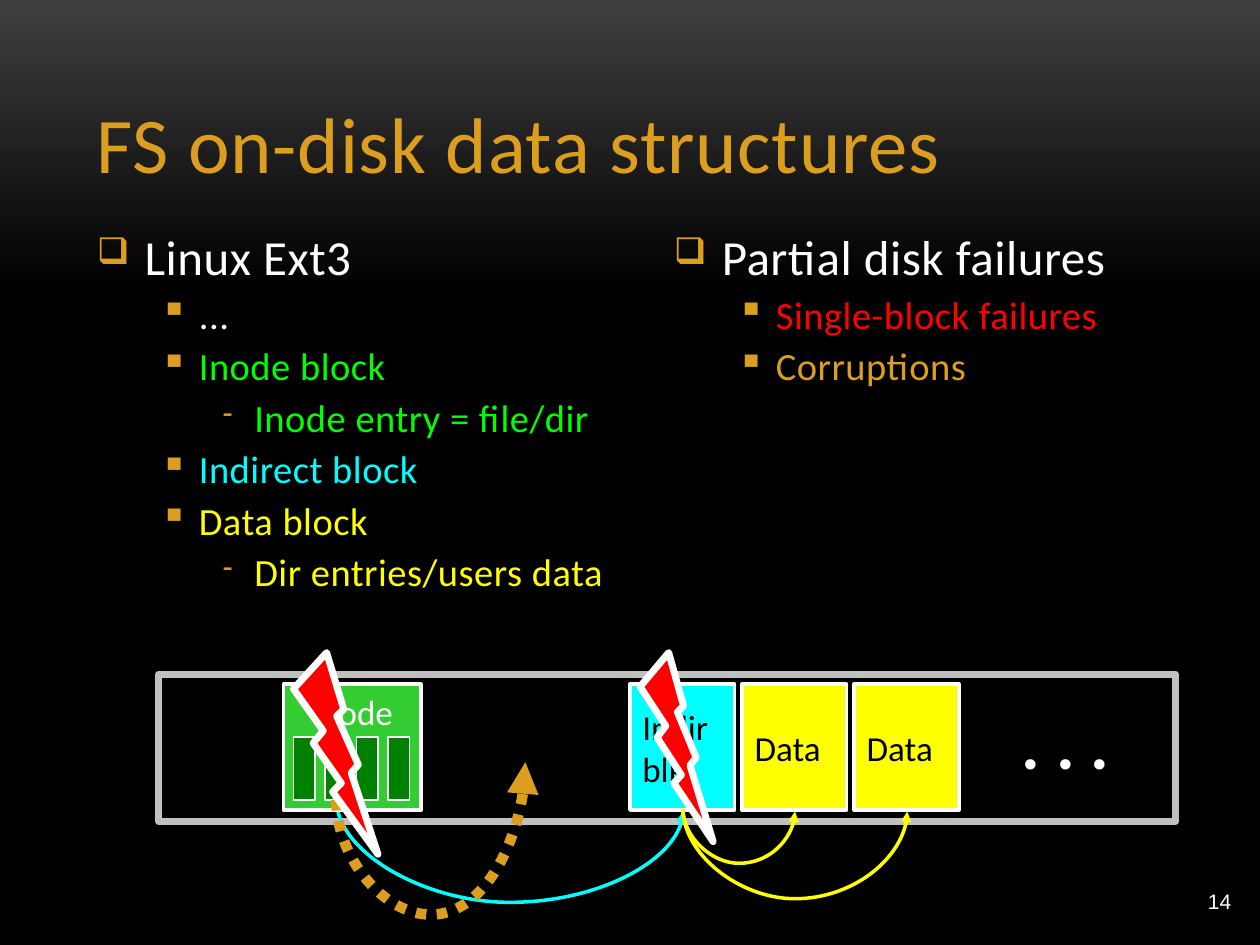
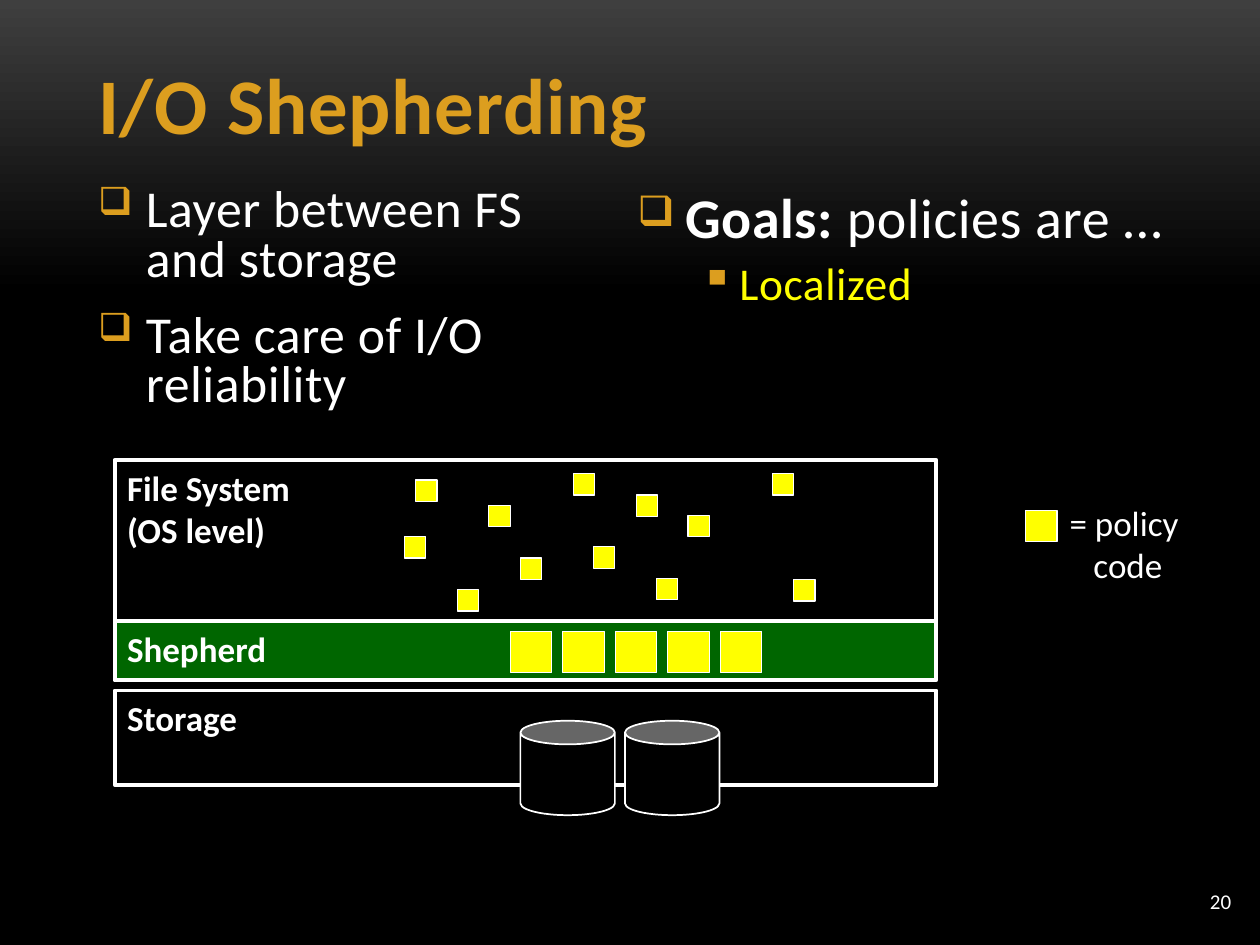
"""Builds two slides on file system structures and I/O shepherding."""
from typing import NamedTuple

from pptx import Presentation
from pptx import util as u
from pptx.dml.color import RGBColor
from pptx.enum import dml, shapes, text
from pptx.oxml import ns, xmlchemy

COLORS = {
    "white": "FFFFFF", "black": "000000", "top": "3F3F3F", "gold": "DC9E1F",
    "lime": "00FF00", "cyan": "00FFFF", "yellow": "FFFF00", "red": "FF0000",
    "silver": "C0C0C0", "inode": "33CC33", "entry": "008000", "shepherd": "006600",
}
FACE = "Calibri"
RECT = shapes.MSO_SHAPE.RECTANGLE
BOLT = shapes.MSO_SHAPE.LIGHTNING_BOLT
CAN = shapes.MSO_SHAPE.CAN
TOP, MIDDLE, BOTTOM = (text.MSO_ANCHOR.TOP, text.MSO_ANCHOR.MIDDLE,
                       text.MSO_ANCHOR.BOTTOM)


class Level(NamedTuple):
    """Bullet style of one outline level."""
    sign: str
    margin: float
    hang: float
    percent: int
    before: float


class Line(NamedTuple):
    """One bulleted line, with an optional bold lead."""
    level: int
    words: str
    color: str = "white"
    lead: str = ""


LEVELS = [Level("❑", 0.38, 0.38, 75, 15), Level("▪", 0.81, 0.31, 100, 3),
          Level("-", 1.25, 0.25, 75, 3)]


def rgb(name):
    """Return the named colour."""
    return RGBColor.from_string(COLORS[name])


def inches(area):
    """Turn numbers into lengths."""
    return [u.Inches(value) for value in area]


def add_child(parent, tag, **attributes):
    """Append a drawing element and return it."""
    child = xmlchemy.OxmlElement(tag)
    for name, value in attributes.items():
        child.set(name, str(value))
    parent.append(child)
    return child


def add_span(para, words, size, color="white", bold=False, face=FACE, spacing=0):
    """Add a formatted run to a paragraph."""
    span = para.add_run()
    span.text = words
    span.font.name = face
    span.font.size = u.Pt(size)
    span.font.bold = bold
    span.font.color.rgb = rgb(color)
    if spacing:
        span.font._element.set("spc", str(round(spacing * 100)))


def write_lines(frame, lines, size, anchor=TOP, align=text.PP_ALIGN.LEFT, **style):
    """Fill a text frame with plain paragraphs."""
    frame.word_wrap = True
    frame.vertical_anchor = anchor
    for index, words in enumerate(lines):
        para = frame.add_paragraph() if index else frame.paragraphs[0]
        para.alignment = align
        add_span(para, words, size, **style)


def add_label(page, area, lines, size, **style):
    """Add a text box and return it."""
    box = page.shapes.add_textbox(*inches(area))
    write_lines(box.text_frame, lines, size, **style)
    return box


def add_block(parent, area, fill=None, line="white", width=0.75, kind=RECT):
    """Add a preset shape with plain fill and outline."""
    block = parent.shapes.add_shape(kind, *inches(area))
    block.shadow.inherit = False
    if fill:
        block.fill.solid()
        block.fill.fore_color.rgb = rgb(fill)
    else:
        block.fill.background()
    block.line.color.rgb = rgb(line)
    block.line.width = u.Pt(width)
    return block


def add_bullets(page, area, lines, sizes, squeeze=None):
    """Add a bulleted outline."""
    frame = page.shapes.add_textbox(*inches(area)).text_frame
    frame.word_wrap = True
    for index, line in enumerate(lines):
        para = frame.add_paragraph() if index else frame.paragraphs[0]
        level = LEVELS[line.level]
        props = para._p.get_or_add_pPr()
        props.set("marL", str(u.Inches(level.margin)))
        props.set("indent", str(-u.Inches(level.hang)))
        tint = add_child(props, "a:buClr")
        add_child(tint, "a:srgbClr", val=COLORS["gold"])
        add_child(props, "a:buSzPct", val=level.percent * 1000)
        add_child(props, "a:buChar", char=level.sign)
        para.level = line.level
        if index:
            para.space_before = u.Pt(level.before)
        if squeeze:
            para.line_spacing = squeeze
        size = sizes[min(line.level, 1)]
        if line.lead:
            add_span(para, line.lead, size, line.color, bold=True, spacing=0.3)
        add_span(para, line.words, size, line.color, spacing=0.3)


def add_swing(page, start, end, dip, color, width=2, dash=None):
    """Add a curved arrow that hangs down to the height dip."""
    (x1, y1), (x2, y2) = start, end
    span, rise = x2 - x1, abs(y2 - y1)
    left, top = (x1 + x2 - rise) / 2, (y1 + y2 - span) / 2
    swing = page.shapes.add_connector(
        shapes.MSO_CONNECTOR.CURVE, *inches((left, top, left + rise, top + span)))
    swing.line.color.rgb = rgb(color)
    swing.line.width = u.Pt(width)
    if dash:
        swing.line.dash_style = dash
    props = swing.element.spPr
    frame = props.find(ns.qn("a:xfrm"))
    frame.set("flipH", "1")
    frame.set("rot", str((270 if y2 > y1 else 90) * 60000))
    if y2 < y1:
        frame.set("flipV", "1")
    guides = props.find(ns.qn("a:prstGeom")).find(ns.qn("a:avLst"))
    ratio = (dip - y1) / (y2 - y1)
    add_child(guides, "a:gd", name="adj1", fmla=f"val {round(ratio * 100000)}")
    add_child(props.find(ns.qn("a:ln")), "a:tailEnd", type="triangle")
    add_child(props, "a:effectLst")


def add_page(deck, title, left, top, number, bold=False, face=FACE):
    """Add a slide with its title and number."""
    page = deck.slides.add_slide(deck.slide_layouts[6])
    add_label(page, (left, top, 8.67, 1.25), [title], 45, anchor=BOTTOM,
              color="gold", bold=bold, spacing=0.5)
    add_label(page, (8.79, 6.95, 1.08, 0.4), [number], 12, anchor=MIDDLE,
              align=text.PP_ALIGN.RIGHT, face=face)
    return page


def paint_background(deck):
    """Give all slides the dark gradient."""
    fill = deck.slide_master.background.fill
    fill.gradient()
    fill.gradient_angle = 270
    for stop, color, position in zip(fill.gradient_stops, ("top", "black"), (0, 0.31)):
        stop.color.rgb = rgb(color)
        stop.position = position


def add_disk_block(page, left, fill, lines):
    """Add a labelled disk block."""
    block = add_block(page, (left, 5.43, 0.83, 1), fill, width=2)
    write_lines(block.text_frame, lines, 20, anchor=MIDDLE, color="black")


def add_inode(page):
    """Add the inode block with its entries."""
    group = page.shapes.add_group_shape()
    inode = add_block(group, (2.25, 5.43, 1.09, 1), "inode", width=2)
    write_lines(inode.text_frame, ["Inode"], 20, align=text.PP_ALIGN.CENTER)
    for index in range(4):
        add_block(group, (2.33 + 0.25 * index, 5.85, 0.17, 0.5), "entry")


def add_bolt(page, area):
    """Add a failure bolt."""
    add_block(page, area, "red", width=4, kind=BOLT)


def build_structures(deck):
    """Build the slide on disk structures."""
    page = add_page(deck, "FS on-disk data structures", 0.67, 0.3, "14", face="Arial")
    add_bullets(page, (0.67, 1.75, 4.42, 3.43), [
        Line(0, "Linux Ext3"), Line(1, "..."),
        Line(1, "Inode block", "lime"), Line(2, "Inode entry = file/dir", "lime"),
        Line(1, "Indirect block", "cyan"), Line(1, "Data block", "yellow"),
        Line(2, "Dir entries/users data", "yellow")], (28, 22))
    add_bullets(page, (5.25, 1.75, 3.95, 3.1), [
        Line(0, "Partial disk failures"), Line(1, "Single-block failures", "red"),
        Line(1, "Corruptions", "gold")], (28, 22))

    add_block(page, (1.26, 5.35, 8.07, 1.17), line="silver", width=4)
    inode_foot, indirect_foot = (2.67, 6.35), (5.42, 6.42)
    add_swing(page, inode_foot, (5.42, 6.44), 7.16, "cyan")
    add_label(page, (8.01, 5.5, 1, 0.75), [". . ."], 40, bold=True)
    add_inode(page)
    add_disk_block(page, 5, "cyan", ["Indir", "blk"])
    add_disk_block(page, 5.89, "yellow", ["Data"])
    add_bolt(page, (5.08, 5.18, 0.58, 1.5))
    add_swing(page, inode_foot, (4.17, 6.05), 7.26, "gold", 6, dml.MSO_LINE.ROUND_DOT)
    add_swing(page, indirect_foot, (6.31, 6.44), 6.85, "yellow")
    add_disk_block(page, 6.78, "yellow", ["Data"])
    add_swing(page, indirect_foot, (7.2, 6.44), 7.13, "yellow")
    add_bolt(page, (2.33, 5.18, 0.67, 1.6))


def add_layer(page, top, height, fill, lines):
    """Add a layer of the storage stack."""
    layer = add_block(page, (0.91, top, 6.52, height), fill, width=2.25)
    write_lines(layer.text_frame, lines, 20, bold=True)


def add_policy(page, left, top, side):
    """Add a square of policy code."""
    add_block(page, (left, top, side, side), "yellow")


def build_shepherding(deck):
    """Build the slide on I/O shepherding."""
    page = add_page(deck, "I/O Shepherding", 0.68, -0.01, "20", bold=True)
    add_layer(page, 3.65, 1.28, "black", ["File System", "(OS level)"])
    add_layer(page, 5.48, 0.75, "black", ["Storage"])
    add_layer(page, 4.93, 0.47, "shepherd", ["Shepherd"])
    add_bullets(page, (4.96, 1.4, 4.78, 4.5), [
        Line(0, "policies are …", lead="Goals: "),
        Line(1, "Localized", "yellow")], (32, 26))

    for index in range(5):
        add_policy(page, 4.05 + 5 / 12 * index, 5.01, 0.33)
    scattered = [(3.3, 3.81), (3.21, 4.26), (4.13, 4.43), (5.21, 4.59),
                 (6.13, 3.76), (5.46, 4.09), (6.3, 4.6), (5.05, 3.93),
                 (3.88, 4.01), (4.55, 3.76), (4.71, 4.34), (3.63, 4.68)]
    for left, top in scattered:
        add_policy(page, left, top, 0.17)

    add_policy(page, 8.14, 4.05, 0.25)
    legend = add_label(page, (8.39, 3.93, 1.2, 0.77), ["= policy", "code"], 20)
    legend.text_frame.paragraphs[1]._p.get_or_add_pPr().set(
        "marL", str(u.Inches(0.19)))
    add_bullets(page, (0.68, 1.44, 4.08, 1.93), [
        Line(0, "Layer between FS and storage"),
        Line(0, "Take care of I/O reliability")], (29.6, 22), squeeze=0.8)
    for left in (4.13, 4.96):
        add_block(page, (left, 5.72, 0.75, 0.75), "black", width=1, kind=CAN)


def main():
    """Build and save the deck."""
    deck = Presentation()
    deck.slide_width, deck.slide_height = inches((10, 7.5))
    paint_background(deck)
    build_structures(deck)
    build_shepherding(deck)
    deck.save("out.pptx")


if __name__ == "__main__":
    main()
